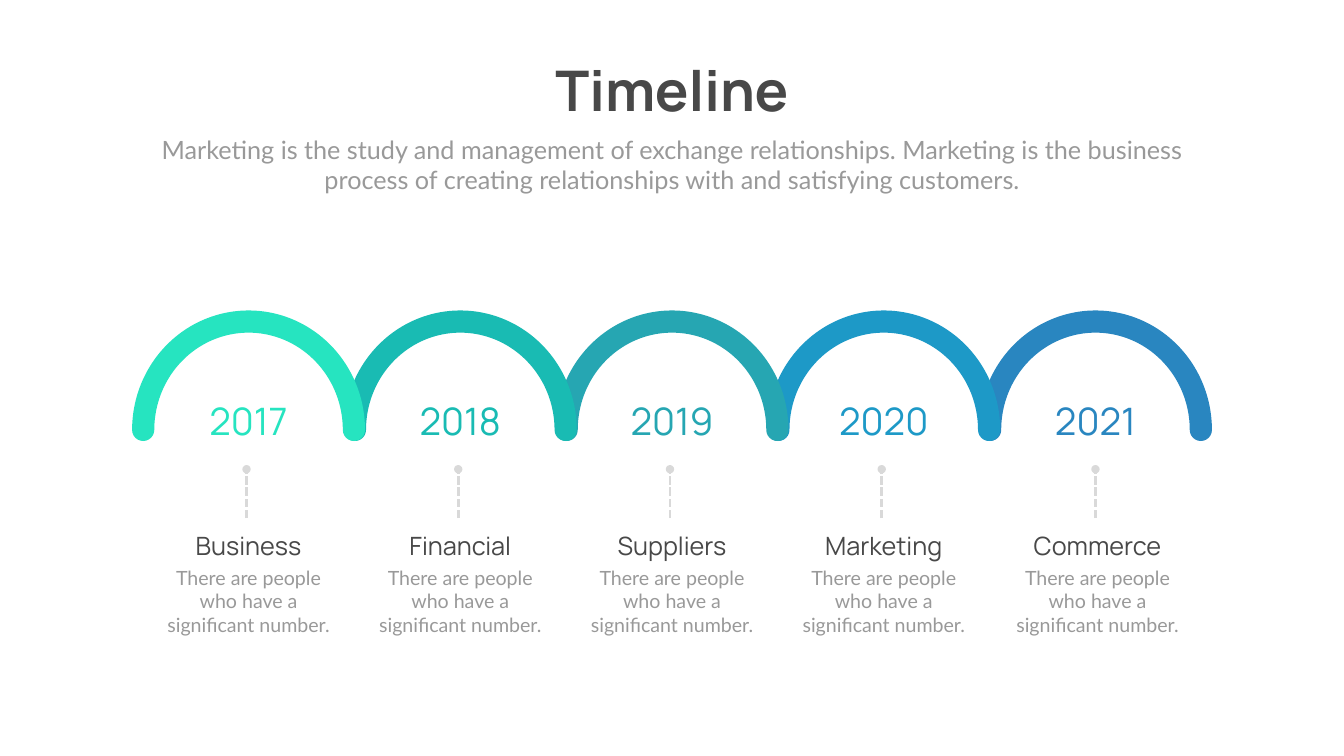
from dataclasses import dataclass

from lxml import etree
from pptx import Presentation
from pptx.dml.color import RGBColor
from pptx.enum import dml, shapes, text
from pptx.oxml import ns
from pptx.util import Pt

PX = 9144  # EMU in one px, 100 px to the inch


@dataclass(frozen=True)
class Theme:
    heading_font: str = "Manrope"
    body_font: str = "Lato"
    dark: str = "484848"
    grey: str = "999999"
    rule: str = "D9D9D9"
    title_size: int = 80
    year_size: int = 54
    lead_size: int = 36
    note_size: int = 28
    rule_width: int = 4


THEME = Theme()
STEP = 420  # distance between two milestones

# Year, heading, colour, sideways shift of the note below the arch
MILESTONES = [
    ("2017", "Business", "26E4C0", 0),
    ("2018", "Financial", "19BBB3", 0),
    ("2019", "Suppliers", "26A6B2", 0),
    ("2020", "Marketing", "1D99C7", 0),
    ("2021", "Commerce", "2986C0", 4),
]
LEAD = ("Marketing is the study and management of exchange relationships. "
        "Marketing is the business process of creating relationships with "
        "and satisfying customers.")
NOTE = "There are people who have a significant number."


def px(length):
    return round(length * PX)


def write(box, words, font, size, color, bold=False, wrap=True, inset=5):
    """Fill a box with one centred run; inset is the space above and below."""
    frame = box.text_frame
    frame.word_wrap = wrap
    frame.auto_size = text.MSO_AUTO_SIZE.NONE
    frame.vertical_anchor = text.MSO_ANCHOR.TOP
    frame.margin_top = frame.margin_bottom = px(inset)
    para = frame.paragraphs[0]
    para.alignment = text.PP_ALIGN.CENTER
    span = para.add_run()
    span.text = words
    span.font.name = font
    span.font.size = Pt(size)
    span.font.bold = bold
    span.font.color.rgb = RGBColor.from_string(color)


def add_label(page, left, top, width, height, words, font, size, color, inset=5):
    box = page.shapes.add_textbox(px(left), px(top), px(width), px(height))
    write(box, words, font, size, color, inset=inset)


def add_title(page):
    title = page.shapes.title
    title.left, title.top = px(1074), px(110)
    title.width, title.height = px(518), px(145)
    write(title, "Timeline", THEME.heading_font, THEME.title_size, THEME.dark,
          bold=True, wrap=False, inset=0)


def add_arch(page, center_x, color):
    """Half ring with round feet, drawn as eight quarter arcs."""
    base, foot, middle = 853, 22, 209
    outer_x, outer_y = middle + foot, 237
    inner_x, inner_y = middle - foot, 193

    # End point (from the centre), radii, start angle and sweep of each quarter
    quarters = [
        (0, -outer_y, outer_x, outer_y, 180, 90),
        (outer_x, 0, outer_x, outer_y, 270, 90),
        (middle, foot, foot, foot, 0, 90),
        (inner_x, 0, foot, foot, 90, 90),
        (0, -inner_y, inner_x, inner_y, 0, -90),
        (-inner_x, 0, inner_x, inner_y, 270, -90),
        (-middle, foot, foot, foot, 0, 90),
        (-outer_x, 0, foot, foot, 90, 90),
    ]
    builder = page.shapes.build_freeform(px(center_x - outer_x), px(base), scale=1.0)
    builder.add_line_segments(
        [(px(center_x + x), px(base + y)) for x, y, *_ in quarters], close=True)
    arch = builder.convert_to_shape()

    # Round each straight segment
    segments = list(arch._element.iter(ns.qn("a:lnTo")))
    for segment, (_, _, radius_x, radius_y, start, sweep) in zip(segments, quarters):
        curve = etree.Element(
            ns.qn("a:arcTo"), wR=str(px(radius_x)), hR=str(px(radius_y)),
            stAng=str(start * 60000), swAng=str(sweep * 60000))
        segment.getparent().replace(segment, curve)

    arch.shadow.inherit = False
    arch.fill.solid()
    arch.fill.fore_color.rgb = RGBColor.from_string(color)
    arch.line.fill.background()


def add_pin(page, x):
    """Dashed line that rises to a dot."""
    pin = page.shapes.add_connector(
        shapes.MSO_CONNECTOR.STRAIGHT, px(x), px(1028), px(x), px(931))
    pin.line.color.rgb = RGBColor.from_string(THEME.rule)
    pin.line.width = Pt(THEME.rule_width)
    pin.line.dash_style = dml.MSO_LINE.SQUARE_DOT
    etree.SubElement(pin.line._get_or_add_ln(), ns.qn("a:tailEnd"), type="oval")
    etree.SubElement(pin._element.spPr, ns.qn("a:effectLst"))


def add_note(page, left, heading):
    add_label(page, left, 1047, 364, 71, heading,
              THEME.heading_font, THEME.lead_size, THEME.dark)
    add_label(page, left, 1117, 364, 151, NOTE,
              THEME.body_font, THEME.note_size, THEME.grey)
    add_pin(page, left + 178)


def main():
    deck = Presentation()
    deck.slide_width, deck.slide_height = px(2666), px(1500)
    page = deck.slides.add_slide(deck.slide_layouts[5])

    # Heading
    add_title(page)
    add_label(page, 292, 261, 2082, 131, LEAD,
              THEME.body_font, THEME.lead_size, THEME.grey)

    # Arches, from right to left so that each overlaps the next
    columns = list(enumerate(MILESTONES))
    for i, (_, _, color, _) in reversed(columns):
        add_arch(page, 493 + i * STEP, color)

    # Years and notes
    for i, (year, heading, color, shift) in columns:
        add_label(page, 390 + i * STEP, 790, 206, 91, year,
                  THEME.heading_font, THEME.year_size, color, inset=0)
        add_note(page, 311 + i * STEP + shift, heading)

    deck.save("out.pptx")


if __name__ == "__main__":
    main()
